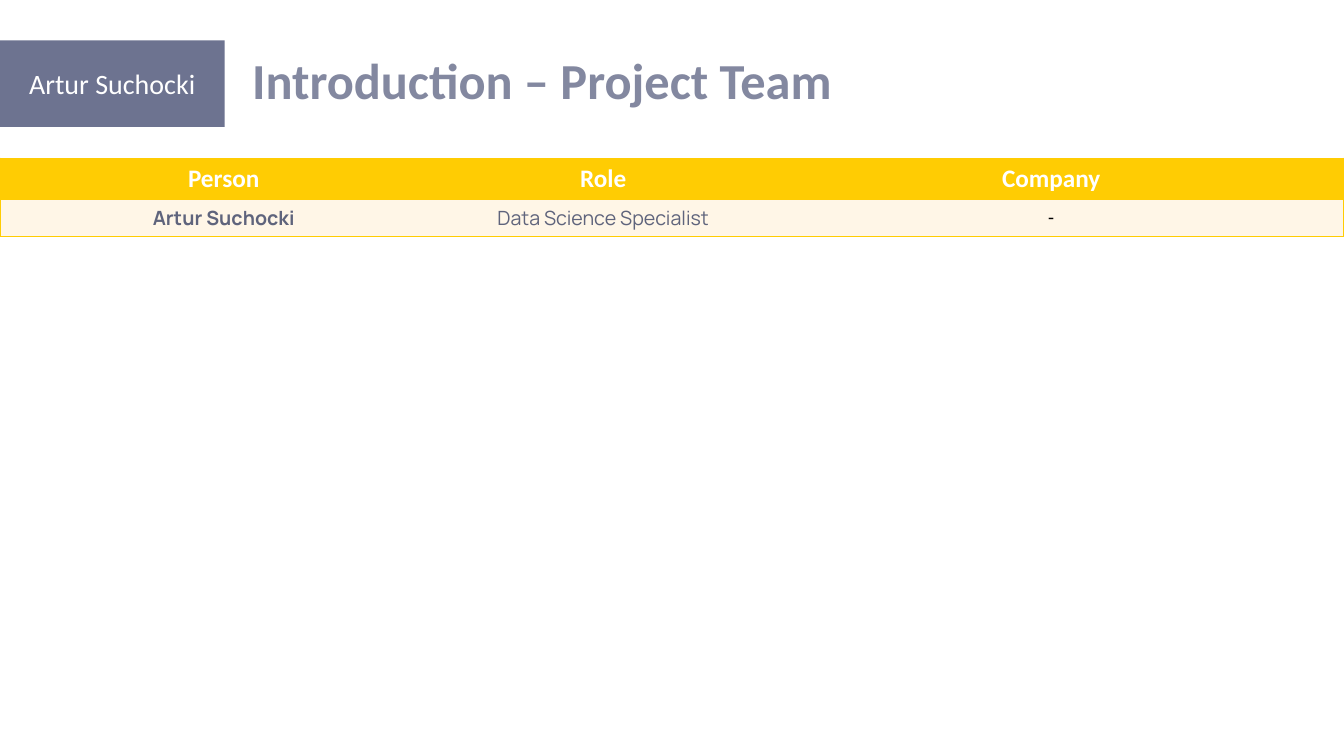
from lxml import etree
from pptx import Presentation
from pptx.dml.color import RGBColor
from pptx.enum import shapes, text
from pptx.oxml.ns import qn
from pptx.util import Cm, Pt

YELLOW, CREAM = "FFCC03", "FFF6E7"
SLATE, TITLE_GREY, TEXT_GREY = "6D7390", "8388A0", "5F647C"
WHITE, BLACK = "FFFFFF", "000000"


def colour(value):
    return RGBColor.from_string(value)


def write(frame, words, size, ink, font="Calibri", bold=False,
          align=text.PP_ALIGN.CENTER, spacing=None):
    para = frame.paragraphs[0]
    para.alignment = align
    if spacing:
        para.line_spacing = spacing
    span = para.add_run()
    span.text = words
    span.font.name, span.font.size, span.font.bold = font, Pt(size), bold
    span.font.color.rgb = colour(ink)


def add_name_tag(page, words):
    box = page.shapes.add_shape(shapes.MSO_SHAPE.RECTANGLE,
                                0, Cm(1.02), Cm(5.66), Cm(2.18))
    box.shadow.inherit = False
    box.fill.solid()
    box.fill.fore_color.rgb = colour(SLATE)
    box.line.fill.background()
    box.text_frame.vertical_anchor = text.MSO_ANCHOR.MIDDLE
    write(box.text_frame, words, 20, WHITE)


def format_title(page, words):
    title = page.shapes.title
    title.left, title.top = Cm(6.1), Cm(1.02)
    title.width, title.height = Cm(25.45), Cm(2.16)
    title.text_frame.vertical_anchor = text.MSO_ANCHOR.MIDDLE
    write(title.text_frame, words, 36, TITLE_GREY, bold=True,
          align=text.PP_ALIGN.LEFT, spacing=0.9)


def set_borders(cell, visible):
    """Draw the sides named in visible; clear the others."""
    properties = cell._tc.get_or_add_tcPr()
    for side in "LRTB":
        line = etree.SubElement(properties, qn(f"a:ln{side}"), w=str(Pt(1)))
        if side in visible:
            fill = etree.SubElement(line, qn("a:solidFill"))
            etree.SubElement(fill, qn("a:srgbClr"), val=YELLOW)
        else:
            etree.SubElement(line, qn("a:noFill"))


def add_team_table(page, header, members):
    widths = (4.44 * 2.54, 3.09 * 2.54, 5.8 * 2.54)
    heights = (0.76, 0.71)
    rows = [header, *members]
    frame = page.shapes.add_table(len(rows), len(header), 0, Cm(3.99),
                                  Cm(sum(widths)), Cm(sum(heights)))
    table = frame.table
    table.first_row = table.horz_banding = False
    for column, width in zip(table.columns, widths):
        column.width = Cm(width)

    for r, values in enumerate(rows):
        table.rows[r].height = Cm(heights[min(r, 1)])
        for c, words in enumerate(values):
            cell = table.cell(r, c)
            left = "L" if c == 0 else ""
            right = "R" if c == len(values) - 1 else ""
            set_borders(cell, "TB" + left + right)
            cell.fill.solid()
            cell.fill.fore_color.rgb = colour(CREAM if r else YELLOW)
            if r == 0:
                write(cell.text_frame, words, 18, WHITE, bold=True)
                continue
            cell.vertical_anchor = text.MSO_ANCHOR.MIDDLE
            if words == "-":
                write(cell.text_frame, words, 14, BLACK)
            else:
                write(cell.text_frame, words, 14, TEXT_GREY,
                      font="Manrope", bold=c == 0)


def main():
    deck = Presentation()
    deck.slide_width, deck.slide_height = Cm(33.87), Cm(19.05)
    page = deck.slides.add_slide(deck.slide_layouts.get_by_name("Title Only"))

    # Heading
    add_name_tag(page, "Artur Suchocki")
    format_title(page, "Introduction – Project Team")

    # Team
    add_team_table(page, ("Person", "Role", "Company"),
                   [("Artur Suchocki", "Data Science Specialist", "-")])
    deck.save("out.pptx")


if __name__ == "__main__":
    main()
